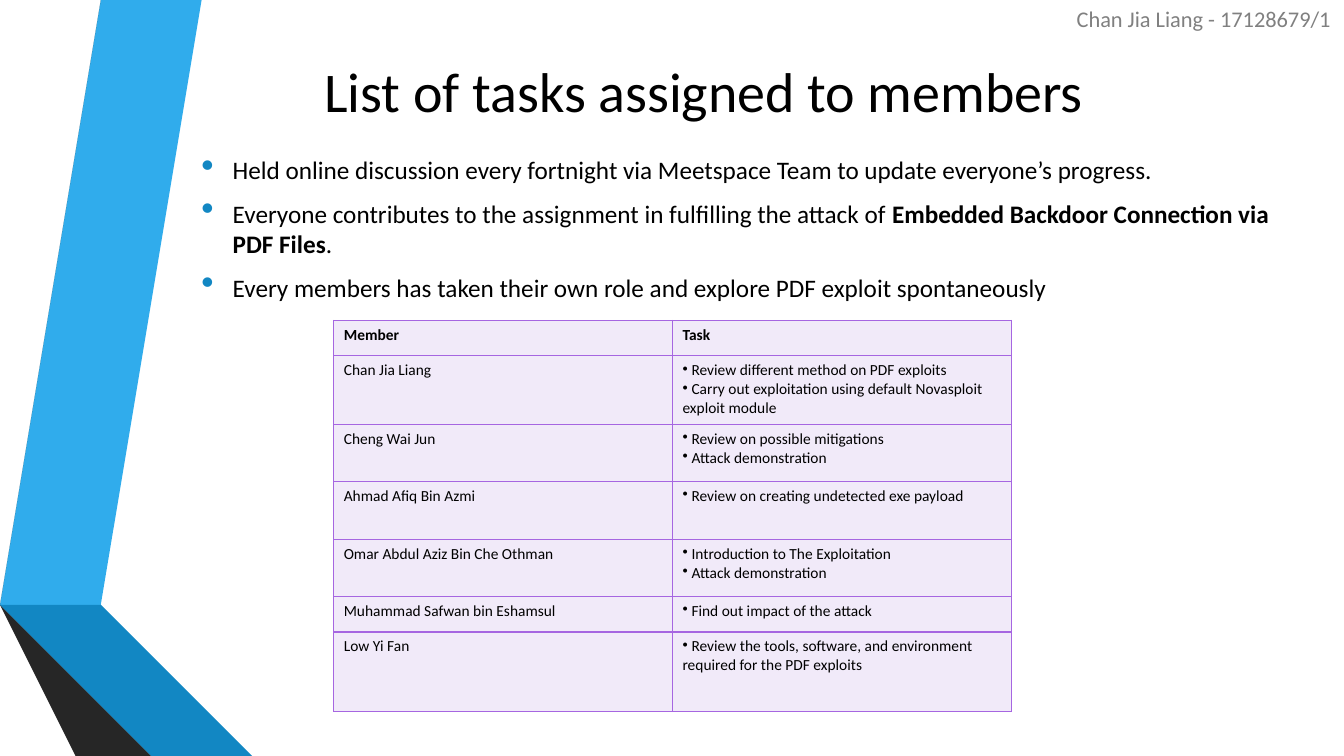
from dataclasses import dataclass

from lxml import etree
from pptx import Presentation
from pptx import util as u
from pptx.dml import color
from pptx.enum import text
from pptx.oxml import ns

FONT = "Calibri"
HUES = {
    "sky": "30ACEC", "blue": "1287C3", "navy": "0C5A82",
    "gray": "595959", "dark": "404040", "coal": "262626",
    "ink": "000000", "mute": "808080",
    "cell": "F1EAF9", "edge": "A666E1",
}


@dataclass
class Band:
    hue: str
    dots: list[tuple[float, float]]


@dataclass
class Box:
    left: float
    top: float
    width: float
    height: float
    lines: list[str]
    size: float
    hue: str = "ink"
    align: text.PP_ALIGN = text.PP_ALIGN.LEFT
    anchor: text.MSO_ANCHOR = text.MSO_ANCHOR.MIDDLE
    wrap: bool = True


@dataclass
class Row:
    height: float
    name: str
    tasks: list[str]


BANDS = [
    Band("sky", [(0.5, 5.78), (0.77, 5.83), (1.73, 0), (1.45, 0)]),
    Band("gray", [(1.39, 0), (1.11, 0), (0.16, 5.73), (0.44, 5.77)]),
    Band("coal", [(0.16, 5.73), (1.45, 7.5), (1.51, 7.5)]),
    Band("navy", [(0.5, 5.79), (2.08, 7.5), (2.14, 7.5)]),
    Band("blue", [(0.5, 5.78), (2.14, 7.5), (2.83, 7.5), (0.77, 5.83)]),
    Band("dark", [(2.02, 7.5), (0.44, 5.77), (0.16, 5.73), (1.51, 7.5)]),
]

TITLE = Box(1.5, 0.44, 10.96, 0.91, ["List of tasks assigned to members"], 40,
            align=text.PP_ALIGN.CENTER)
NOTES = Box(1.9, 1.48, 10.96, 1.57, [
    "Held online discussion every fortnight via Meetspace Team to update everyone’s progress.",
    "Everyone contributes to the assignment in fulfilling the attack of "
    "*Embedded Backdoor Connection via PDF Files*.",
    "Every members has taken their own role and explore PDF exploit spontaneously",
], 18)
AUTHOR = Box(10.58, 0, 2.75, 0.37, ["Chan Jia Liang - 17128679/1"], 16, "mute",
             anchor=text.MSO_ANCHOR.TOP, wrap=False)

HEAD = Row(0.35, "Member", ["Task"])
ROWS = [
    Row(0.68, "Chan Jia Liang", [
        "Review different method on PDF exploits",
        "Carry out exploitation using default Novasploit exploit module"]),
    Row(0.57, "Cheng Wai Jun", [
        "Review on possible mitigations", "Attack demonstration"]),
    Row(0.57, "Ahmad Afiq Bin Azmi", [
        "Review on creating undetected exe payload"]),
    Row(0.57, "Omar Abdul Aziz Bin Che Othman", [
        "Introduction to The Exploitation", "Attack demonstration"]),
    Row(0.35, "Muhammad Safwan bin Eshamsul", ["Find out impact of the attack"]),
    Row(0.79, "Low Yi Fan", [
        "Review the tools, software, and environment required for the PDF exploits"]),
]


def tint(name: str) -> color.RGBColor:
    return color.RGBColor.from_string(HUES[name])


def add(root, tag: str, **attrs: str):
    return etree.SubElement(root, ns.qn(tag), attrs)


def style(run, size: float, hue: str, bold: bool = False) -> None:
    font = run.font
    font.name, font.size, font.bold = FONT, u.Pt(size), bold
    font.color.rgb = tint(hue)


def write(frame, lines: list[str], size: float, hue: str = "ink",
          bold: bool = False) -> None:
    for i, line in enumerate(lines):
        para = frame.paragraphs[0] if i == 0 else frame.add_paragraph()
        for j, part in enumerate(line.split("*")):
            run = para.add_run()
            run.text = part
            style(run, size, hue, bold or j % 2 == 1)


def draw_band(slide, band: Band) -> None:
    form = slide.shapes.build_freeform(*band.dots[0], scale=u.Inches(1))
    form.add_line_segments(band.dots[1:], close=True)
    shape = form.convert_to_shape()
    shape.shadow.inherit = False
    shape.fill.solid()
    shape.fill.fore_color.rgb = tint(band.hue)
    shape.line.fill.background()


def draw_box(slide, box: Box):
    spot = (u.Inches(n) for n in (box.left, box.top, box.width, box.height))
    frame = slide.shapes.add_textbox(*spot).text_frame
    frame.word_wrap = box.wrap
    frame.vertical_anchor = box.anchor
    write(frame, box.lines, box.size, box.hue)
    for para in frame.paragraphs:
        para.alignment = box.align
    return frame


def mark_notes(frame) -> None:
    for para in frame.paragraphs:
        para.space_before, para.space_after = u.Pt(3.6), u.Pt(6)
        props = para._p.get_or_add_pPr()
        props.set("marL", str(u.Inches(0.31)))
        props.set("indent", str(u.Inches(-0.31)))
        add(add(props, "a:buClr"), "a:srgbClr", val=HUES["blue"])
        add(props, "a:buSzPct", val="145000")
        add(props, "a:buChar", char="•")


def paint_cell(cell) -> None:
    props = cell._tc.get_or_add_tcPr()
    for side in ("L", "R", "T", "B"):
        line = add(props, f"a:ln{side}", w=str(u.Pt(1)))
        add(add(line, "a:solidFill"), "a:srgbClr", val=HUES["edge"])
    cell.fill.solid()
    cell.fill.fore_color.rgb = tint("cell")


def draw_table(slide, rows: list[Row]) -> None:
    high = sum(row.height for row in rows)
    grid = slide.shapes.add_table(len(rows), 2, u.Inches(3.31), u.Inches(3.18),
                                  u.Inches(6.72), u.Inches(high)).table
    grid.first_row = grid.horz_banding = False
    for i, row in enumerate(rows):
        grid.rows[i].height = u.Inches(row.height)
        top = i == 0
        name, task = grid.cell(i, 0), grid.cell(i, 1)
        write(name.text_frame, [row.name], 11, bold=top)
        tasks = row.tasks if top else [f" {item}" for item in row.tasks]
        write(task.text_frame, tasks, 11, bold=top)
        if not top:
            for para in task.text_frame.paragraphs:
                add(para._p.get_or_add_pPr(), "a:buChar", char="•")
        paint_cell(name)
        paint_cell(task)


def main() -> None:
    deck = Presentation()
    deck.slide_width, deck.slide_height = u.Inches(13.33), u.Inches(7.5)
    slide = deck.slides.add_slide(deck.slide_layouts[6])
    for band in BANDS:
        draw_band(slide, band)
    draw_box(slide, TITLE)
    draw_table(slide, [HEAD, *ROWS])
    mark_notes(draw_box(slide, NOTES))
    draw_box(slide, AUTHOR)
    deck.save("out.pptx")


if __name__ == "__main__":
    main()
